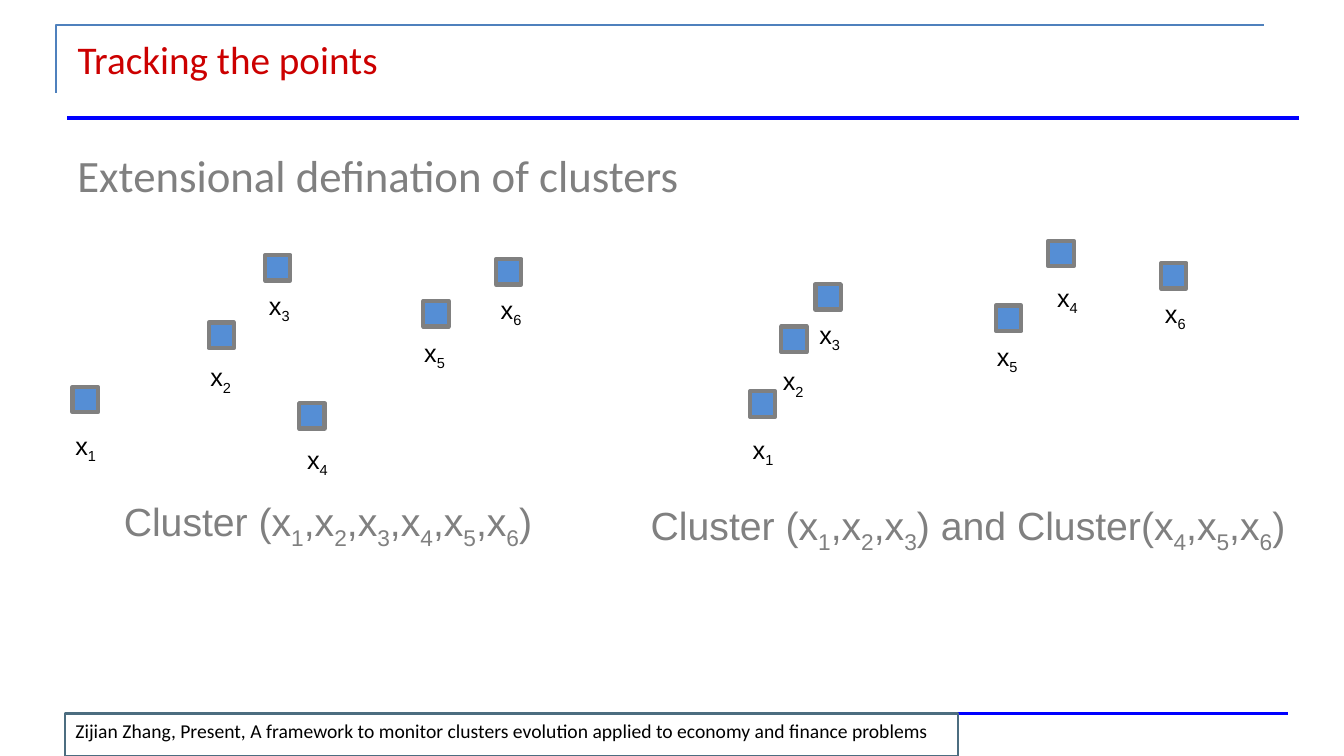
from itertools import groupby
from pptx import Presentation
from pptx import util as u
from pptx.dml.color import RGBColor
from pptx.enum import shapes, text
from pptx.oxml.ns import qn
from lxml import etree

GREY, BLUE = "808080", "0000FF"


def rgb(code):
    return RGBColor.from_string(code)


def write(shape, words, size, color, font="Calibri", wrap=True):
    """Fill a shape with one line of text; digits become subscripts."""
    frame = shape.text_frame
    frame.word_wrap = wrap
    frame.auto_size = text.MSO_AUTO_SIZE.NONE
    frame.vertical_anchor = text.MSO_ANCHOR.TOP
    para = frame.paragraphs[0]
    para.alignment = text.PP_ALIGN.LEFT
    for low, chars in groupby(words, str.isdigit):
        run = para.add_run()
        run.text = "".join(chars)
        run.font.size = u.Pt(size)
        run.font.name = font
        run.font.color.rgb = rgb(color)
        if low:
            run.font._element.set("baseline", "-25000")


prs = Presentation()
prs.slide_width, prs.slide_height = u.Cm(33.87), u.Cm(19.05)
slide = prs.slides.add_slide(prs.slide_layouts[5])
parts = slide.shapes

# Corner frame
build = parts.build_freeform(u.Cm(1.42), u.Cm(2.34))
build.add_line_segments(
    [(u.Cm(1.42), u.Cm(0.64)), (u.Cm(31.85), u.Cm(0.64))], close=False)
frame = build.convert_to_shape()
frame.shadow.inherit = False
frame.fill.background()
frame.line.color.rgb = rgb("4F81BD")
frame.line.width = u.Pt(1.5)

# Rules under the title and above the footer
for y, end, width in [(2.97, 32.74, 3), (17.98, 32.46, 1.5)]:
    rule = parts.add_connector(
        shapes.MSO_CONNECTOR.STRAIGHT, u.Cm(1.7), u.Cm(y), u.Cm(end), u.Cm(y))
    rule.line.color.rgb = rgb(BLUE)
    rule.line.width = u.Pt(width)
    etree.SubElement(rule._element.spPr, qn("a:effectLst"))

# Title and heading
title = parts.title
title.left, title.top = u.Cm(1.7), u.Cm(0.76)
title.width, title.height = u.Cm(30.48), u.Cm(2.41)
write(title, "Tracking the points", 28, "CC0000")
head = parts.add_textbox(u.Cm(1.7), u.Cm(3.61), u.Cm(30.48), u.Cm(1.7))
write(head, "Extensional defination of clusters", 32, GREY)

# Footer
foot = parts.add_shape(
    shapes.MSO_SHAPE.RECTANGLE, u.Cm(1.65), u.Cm(17.98), u.Cm(22.5), u.Cm(1.07))
foot.shadow.inherit = False
foot.fill.background()
foot.line.color.rgb = rgb("4C6D80")
foot.line.width = u.Pt(1.5)
write(foot, "Zijian Zhang, Present, A framework to monitor clusters evolution "
      "applied to economy and finance problems", 14, "000000")

# Points x1 to x6 of each side: square x, y and label x, y
left = [(1.83, 9.75, 1.65, 10.72), (5.26, 8.13, 5.05, 8.99),
        (6.68, 6.43, 6.53, 7.19), (7.54, 10.16, 7.49, 11.07),
        (10.67, 7.59, 10.44, 8.38), (12.5, 6.53, 12.37, 7.29)]
right = [(18.9, 9.86, 18.72, 10.82), (19.69, 8.23, 19.48, 9.09),
         (20.55, 7.16, 20.4, 7.92), (26.42, 6.07, 26.39, 6.99),
         (25.1, 7.7, 24.87, 8.48), (29.26, 6.63, 29.11, 7.39)]
sides = [(left, 2.87, 12.4, "Cluster (x1,x2,x3,x4,x5,x6)"),
         (right, 16.15, 12.52, "Cluster (x1,x2,x3) and Cluster(x4,x5,x6)")]

for points, x, y, words in sides:
    for num, (px, py, tx, ty) in enumerate(points, 1):
        dot = parts.add_shape(
            shapes.MSO_SHAPE.RECTANGLE, u.Cm(px), u.Cm(py), u.Cm(0.64), u.Cm(0.64))
        dot.shadow.inherit = False
        dot.fill.solid()
        dot.fill.fore_color.rgb = rgb("558ED5")
        dot.line.color.rgb = rgb(GREY)
        dot.line.width = u.Pt(3)
        label = parts.add_textbox(u.Cm(tx), u.Cm(ty), u.Cm(1.02), u.Cm(1.12))
        write(label, f"x{num}", 18, "000000", "Arial", wrap=False)
    note = parts.add_textbox(u.Cm(x), u.Cm(y), u.Cm(16.89), u.Cm(1.6))
    write(note, words, 28, GREY, "Arial")

prs.save("out.pptx")
